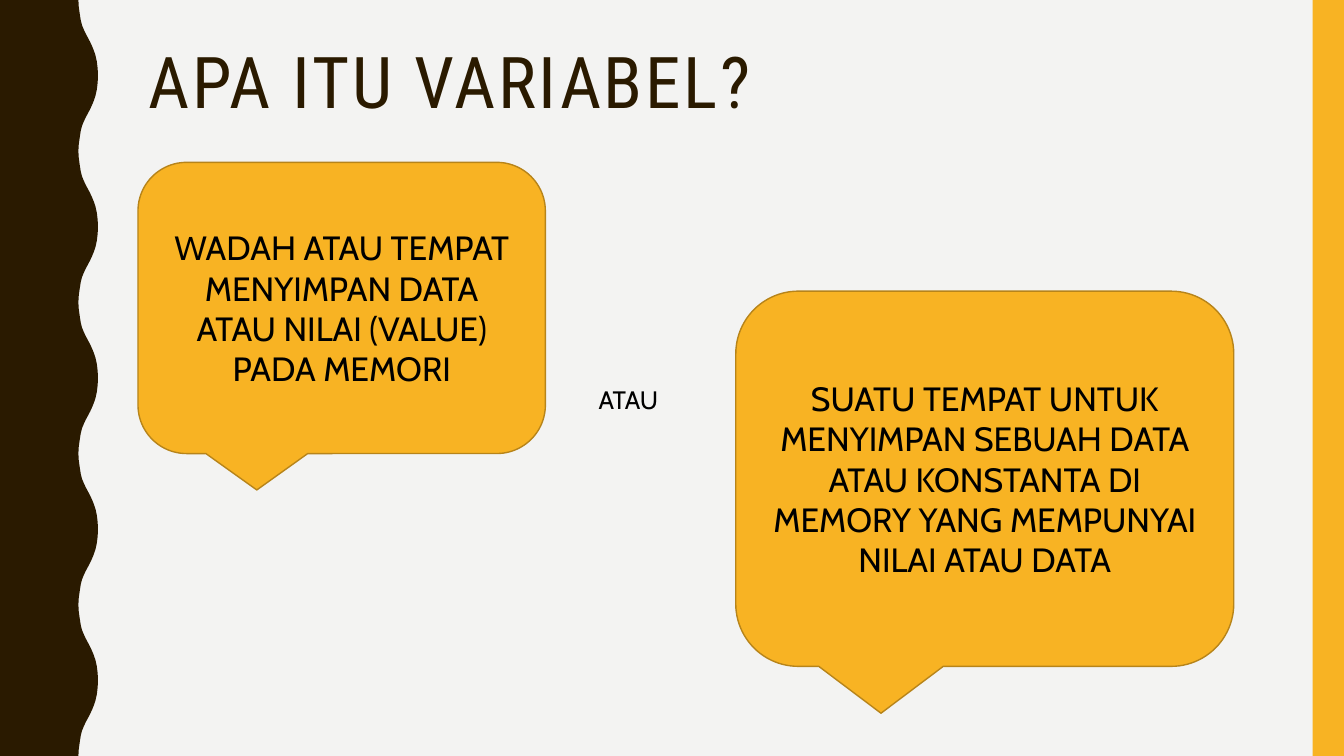
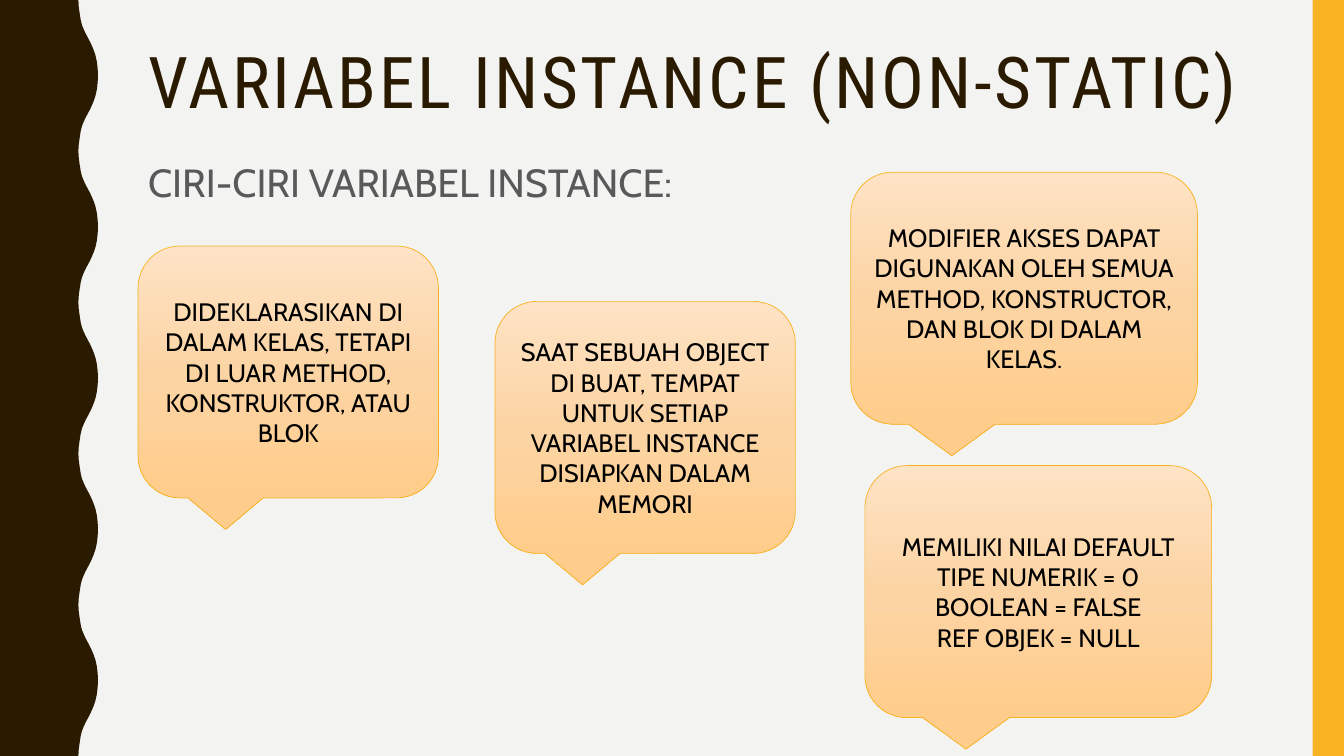
from copy import deepcopy
from dataclasses import dataclass

from pptx import Presentation
from pptx.dml.color import RGBColor
from pptx.enum import shapes, text
from pptx.oxml import ns, xmlchemy
from pptx.util import Pt


@dataclass(frozen=True)
class Theme:
    paper: str = "F3F3F2"
    bark: str = "2A1A00"
    amber: str = "F8B323"
    amber_edge: str = "B7841A"
    peach: tuple = ("FEE3C5", "FCD4A4", "FFCD8B")
    ink: str = "000000"
    grey: str = "595959"
    heading_font: str = "Roboto Condensed"
    body_font: str = "Cabin"
    title_size: float = 51
    lead_size: float = 28
    large_size: float = 24
    small_size: float = 18
    title_tracking: float = 2


THEME = Theme()
WIDTH, HEIGHT = 960, 540
MARGIN, CONTENT_WIDTH = 98.6, 801.4
STRIP_WIDTH = 22.4
WAVE_HALF = 54
WAVE_CURVE = (
    (56, 0), (56.3, 5), (57, 10), (57.7, 14.5), (58.6, 18),
    (59.8, 21), (61.2, 24), (62.8, 27), (64.4, 30), (65.8, 33),
    (67, 36), (68.2, 39.5), (69.2, 44), (69.8, 49), (70, 54),
)


def rgb(value):
    return RGBColor.from_string(value)


def place(shape, left, top, width, height):
    shape.left, shape.top = Pt(left), Pt(top)
    shape.width, shape.height = Pt(width), Pt(height)


def paint(shape, color):
    shape.shadow.inherit = False
    shape.fill.solid()
    shape.fill.fore_color.rgb = rgb(color)
    shape.line.fill.background()


def style(paragraph, font, size, color, align=text.PP_ALIGN.LEFT):
    paragraph.alignment = align
    paragraph.font.name = font
    paragraph.font.size = Pt(size)
    paragraph.font.color.rgb = rgb(color)


def wave_points():
    points = []
    for index in range(HEIGHT // WAVE_HALF):
        top = index * WAVE_HALF
        if index % 2 == 0:
            points += [(x, top + y) for x, y in WAVE_CURVE]
        else:
            points += [(x, top + WAVE_HALF - y) for x, y in reversed(WAVE_CURVE)]
    return points


def decorate_master(prs, slide):
    master = prs.slide_master
    master.background.fill.solid()
    master.background.fill.fore_color.rgb = rgb(THEME.paper)

    outline = slide.shapes.build_freeform(0, 0, scale=1.0)
    edge = [(Pt(x), Pt(y)) for x, y in wave_points()]
    outline.add_line_segments(edge + [(0, Pt(HEIGHT))], close=True)
    wave = outline.convert_to_shape()
    paint(wave, THEME.bark)

    strip = slide.shapes.add_shape(
        shapes.MSO_SHAPE.RECTANGLE,
        Pt(WIDTH - STRIP_WIDTH), 0, Pt(STRIP_WIDTH), Pt(HEIGHT))
    paint(strip, THEME.amber)

    for position, part in enumerate((wave, strip), start=2):
        master.shapes.element.insert(position, part.element)


def set_title(slide, wording):
    title = slide.shapes.title
    place(title, MARGIN, 30, CONTENT_WIDTH, 117.5)
    frame = title.text_frame
    frame.text = wording
    frame.auto_size = text.MSO_AUTO_SIZE.NONE
    frame.vertical_anchor = text.MSO_ANCHOR.TOP
    heading = frame.paragraphs[0]
    heading.line_spacing = 0.9
    style(heading, THEME.heading_font, THEME.title_size, THEME.bark)
    tracking = str(round(THEME.title_tracking * 100))
    for run in heading.runs:
        run._r.get_or_add_rPr().set("spc", tracking)


def set_lead(slide, wording):
    body = slide.placeholders[1]
    place(body, MARGIN, 106, CONTENT_WIDTH, 357)
    frame = body.text_frame
    frame.text = wording
    frame.auto_size = text.MSO_AUTO_SIZE.NONE
    lead = frame.paragraphs[0]
    lead.line_spacing = 1.1
    lead.space_before = Pt(7)
    style(lead, THEME.body_font, THEME.lead_size, THEME.grey)
    properties = lead._p.get_or_add_pPr()
    properties.set("marL", "0")
    properties.set("indent", "0")
    no_bullet = xmlchemy.OxmlElement("a:buNone")
    properties.find(ns.qn("a:defRPr")).addprevious(no_bullet)


def fill_peach(shape):
    shape.fill.gradient()
    shape.fill.gradient_angle = 270
    stop_list = shape.element.spPr.find(ns.qn("a:gradFill")).find(ns.qn("a:gsLst"))
    stop_list.append(deepcopy(stop_list[0]))
    for index, (stop, color) in enumerate(zip(shape.fill.gradient_stops, THEME.peach)):
        stop.color.rgb = rgb(color)
        stop.position = index / 2


def add_callout(slide, box, lines, size):
    left, top, width, height = map(Pt, box)
    bubble = slide.shapes.add_shape(
        shapes.MSO_SHAPE.ROUNDED_RECTANGULAR_CALLOUT, left, top, width, height)
    bubble.shadow.inherit = False
    frame = bubble.text_frame
    frame.word_wrap = True
    frame.vertical_anchor = text.MSO_ANCHOR.MIDDLE
    frame.text = "\n".join(lines)
    for paragraph in frame.paragraphs:
        style(paragraph, THEME.body_font, size, THEME.ink, text.PP_ALIGN.CENTER)
    return bubble


def add_definition(slide, box, wording):
    bubble = add_callout(slide, box, [wording], THEME.large_size)
    bubble.fill.solid()
    bubble.fill.fore_color.rgb = rgb(THEME.amber)
    bubble.line.color.rgb = rgb(THEME.amber_edge)
    bubble.line.width = Pt(1)


def add_trait(slide, box, *lines):
    bubble = add_callout(slide, box, lines, THEME.small_size)
    fill_peach(bubble)
    bubble.line.color.rgb = rgb(THEME.amber)
    bubble.line.width = Pt(0.5)


def add_label(slide, box, wording):
    label = slide.shapes.add_textbox(*map(Pt, box))
    label.text_frame.word_wrap = True
    label.text_frame.text = wording
    style(label.text_frame.paragraphs[0], THEME.body_font, THEME.small_size, THEME.ink)


def build_definitions(slide):
    set_title(slide, "APA ITU VARIABEL?")
    add_definition(
        slide, (MARGIN, 116, 291, 208),
        "WADAH ATAU TEMPAT MENYIMPAN DATA ATAU NILAI (VALUE) PADA MEMORI")
    add_definition(
        slide, (525.6, 208, 355.7, 268),
        "SUATU TEMPAT UNTUK MENYIMPAN SEBUAH DATA ATAU KONSTANTA DI MEMORY "
        "YANG MEMPUNYAI NILAI ATAU DATA")
    add_label(slide, (420.5, 270.7, 66.2, 29), "ATAU")


def build_traits(slide):
    narrow, wide, tall = 214.6, 247.7, 180
    set_title(slide, "VARIABEL INSTANCE (NON-STATIC)")
    set_lead(slide, "CIRI-CIRI VARIABEL INSTANCE:")
    add_trait(
        slide, (MARGIN, 175.7, narrow, tall),
        "DIDEKLARASIKAN DI DALAM KELAS, TETAPI DI LUAR METHOD, KONSTRUKTOR, ATAU BLOK")
    add_trait(
        slide, (353.5, 215.3, narrow, tall),
        "SAAT SEBUAH OBJECT DI BUAT, TEMPAT UNTUK SETIAP VARIABEL INSTANCE "
        "DISIAPKAN DALAM MEMORI")
    add_trait(
        slide, (607.7, 123, wide, tall),
        "MODIFIER AKSES DAPAT DIGUNAKAN OLEH SEMUA METHOD, KONSTRUCTOR, "
        "DAN BLOK DI DALAM KELAS.")
    add_trait(
        slide, (617.8, 332.6, wide, tall),
        "MEMILIKI NILAI DEFAULT", "TIPE NUMERIK = 0",
        "BOOLEAN = FALSE", "REF OBJEK = NULL")


def main():
    prs = Presentation()
    prs.slide_width, prs.slide_height = Pt(WIDTH), Pt(HEIGHT)
    title_only = prs.slide_layouts.get_by_name("Title Only")
    title_and_content = prs.slide_layouts.get_by_name("Title and Content")
    definitions = prs.slides.add_slide(title_only)
    traits = prs.slides.add_slide(title_and_content)
    decorate_master(prs, definitions)
    build_definitions(definitions)
    build_traits(traits)
    prs.save("out.pptx")


main()
